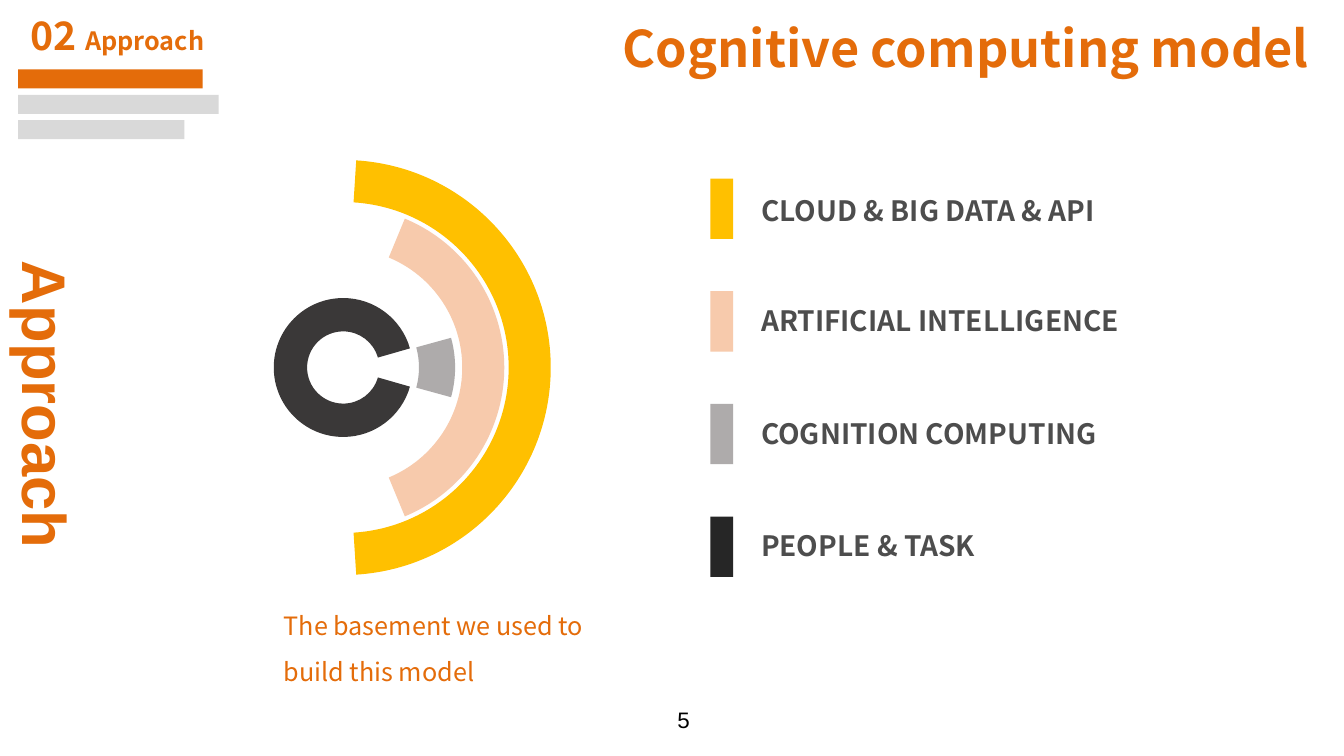
from math import ceil, cos, floor, radians, sin, tan

from lxml.etree import SubElement
from pptx import Presentation
from pptx.dml.color import RGBColor
from pptx.enum.shapes import MSO_SHAPE
from pptx.enum.text import MSO_ANCHOR, MSO_AUTO_SIZE, PP_ALIGN
from pptx.oxml.ns import qn
from pptx.util import Cm, Pt

RECTANGLE = MSO_SHAPE.RECTANGLE
BOTTOM, TOP = MSO_ANCHOR.BOTTOM, MSO_ANCHOR.TOP
GROW, FIXED = MSO_AUTO_SIZE.SHAPE_TO_FIT_TEXT, MSO_AUTO_SIZE.NONE
LEFT, RIGHT = PP_ALIGN.LEFT, PP_ALIGN.RIGHT

COLORS = {
    "orange": "E46C0A", "pale": "D9D9D9", "yellow": "FFC000",
    "peach": "F7CAAC", "gray": "AEABAB", "charcoal": "3A3838",
    "black": "262626", "label": "4D4D4D", "number": "000000",
}
SANS, ARIAL = "Noto Sans CJK SC", "Arial"

HEADER_BARS = [("orange", 4.65), ("pale", 5.05), ("pale", 4.19)]
HEADER_LEFT, HEADER_TOP, HEADER_PITCH, HEADER_HEIGHT = 0.46, 1.75, 0.64, 0.48

RING_CENTER = (8.65, 9.26)
RING_TURN = 270
RINGS = [
    ("yellow", 5.23, 4.17, 3.6, 176.4),
    ("peach", 4.06, 3.0, 22.5, 157.5),
    ("gray", 2.82, 1.91, 74.6, 105.4),
    ("charcoal", 1.75, 0.91, 106, 434),
]

LEGEND = [
    ("CLOUD & BIG DATA & API", "yellow", 4.75, 10.46),
    ("ARTIFICIAL INTELLIGENCE", "peach", 7.52, 10.46),
    ("COGNITION COMPUTING", "gray", 10.36, 13.28),
    ("PEOPLE & TASK", "black", 13.2, 6.38),
]
LEGEND_LEFT, LEGEND_TOP, LEGEND_PITCH = 17.9, 4.5, 2.84
SWATCH_WIDTH, SWATCH_HEIGHT = 0.58, 1.52
LABEL_LEFT, LABEL_HEIGHT = 18.93, 1.12
LABEL_STYLE = (20, SANS, "label", True)

SECTION = (
    (0.51, 0.3, 10.08, 1.32),
    [("02 ", 28, SANS, "orange", True), ("Approach", 18, SANS, "orange", True)],
    {}, {"line_spacing": 0.9}, 0)
SIDE_TITLE = (
    (-2.74, 9.17, 7.82, 2.13), [("Approach", 44, ARIAL, "orange", True)],
    {"word_wrap": False}, {}, 90)
TITLE = (
    (12.79, 0.27, 20.73, 1.8),
    [("Cognitive computing model ", 36, SANS, "orange", True)],
    {"vertical_anchor": BOTTOM}, {"alignment": RIGHT}, 0)
CAPTION = (
    (6.9, 15.01, 8.76, 4.45),
    [("The basement we used to build this model", 18, SANS, "orange", False)],
    {"auto_size": FIXED, "margin_top": 0, "margin_bottom": 0},
    {"line_spacing": 1.5}, 0)
PAGE_NUMBER = (
    (16.89, 17.68, 0.43, 0.94), [("5", 16, ARIAL, "number", False)],
    {"margin_left": Cm(0.18), "margin_right": 0}, {}, 0)


def set_all(target, values):
    for name, value in values.items():
        setattr(target, name, value)


def paint(shape, color):
    shape.shadow.inherit = False
    shape.fill.solid()
    shape.fill.fore_color.rgb = RGBColor.from_string(COLORS[color])
    shape.line.fill.background()


def add_bar(shapes, box, color):
    paint(shapes.add_shape(RECTANGLE, *map(Cm, box)), color)


def arc_curves(center, radius, angles):
    curves = []
    for start, end in zip(angles, angles[1:]):
        reach = 4 / 3 * tan((end - start) / 4)
        curves.append([
            (center + radius * (cos(angle) - pull * sin(angle)),
             center + radius * (sin(angle) + pull * cos(angle)))
            for angle, pull in ((start, 0), (start, reach), (end, -reach), (end, 0))
        ])
    return curves


def add_ring(shapes, color, outer, inner, start, end):
    side = Cm(2 * outer)
    builder = shapes.build_freeform(0, 0)
    builder.add_line_segments([(side, 0), (side, side), (0, side)], close=True)
    ring = builder.convert_to_shape(*(Cm(middle - outer) for middle in RING_CENTER))
    ring.rotation = RING_TURN

    quarters = range(ceil(start / 90), floor(end / 90) + 1)
    angles = [radians(a) for a in (start, *(90 * q for q in quarters), end)]
    inside = arc_curves(side / 2, Cm(inner), angles)
    outside = arc_curves(side / 2, Cm(outer), angles[::-1])
    commands = [("a:moveTo", inside[0][:1])]
    commands += [("a:cubicBezTo", curve[1:]) for curve in inside]
    commands.append(("a:lnTo", outside[0][:1]))
    commands += [("a:cubicBezTo", curve[1:]) for curve in outside]
    commands.append(("a:close", []))

    outline = ring.element.find(".//" + qn("a:path"))
    for segment in list(outline):
        outline.remove(segment)
    for tag, points in commands:
        command = SubElement(outline, qn(tag))
        for x, y in points:
            SubElement(command, qn("a:pt"), x=str(round(x)), y=str(round(y)))
    paint(ring, color)


def add_text(shapes, box, runs, frame_format, paragraph_format, rotation):
    textbox = shapes.add_textbox(*map(Cm, box))
    textbox.rotation = rotation
    frame = textbox.text_frame
    set_all(frame, {"word_wrap": True, "auto_size": GROW,
                    "vertical_anchor": TOP, **frame_format})
    paragraph = frame.paragraphs[0]
    set_all(paragraph, {"alignment": LEFT, **paragraph_format})
    for words, size, font, color, bold in runs:
        run = paragraph.add_run()
        run.text = words
        set_all(run.font, {"size": Pt(size), "name": font, "bold": bold})
        run.font.color.rgb = RGBColor.from_string(COLORS[color])


def main():
    deck = Presentation()
    set_all(deck, {"slide_width": Cm(33.87), "slide_height": Cm(19.05)})
    shapes = deck.slides.add_slide(deck.slide_layouts[6]).shapes

    add_text(shapes, *SECTION)
    for i, (color, width) in enumerate(HEADER_BARS):
        top = HEADER_TOP + i * HEADER_PITCH
        add_bar(shapes, (HEADER_LEFT, top, width, HEADER_HEIGHT), color)
    for text in (SIDE_TITLE, TITLE, CAPTION):
        add_text(shapes, *text)

    model = shapes.add_group_shape().shapes
    for ring in RINGS:
        add_ring(model, *ring)

    legend = shapes.add_group_shape().shapes
    for i, (_, color, _, _) in enumerate(LEGEND):
        top = LEGEND_TOP + i * LEGEND_PITCH
        add_bar(legend, (LEGEND_LEFT, top, SWATCH_WIDTH, SWATCH_HEIGHT), color)
    for label, _, top, width in LEGEND:
        label_box = (LABEL_LEFT, top, width, LABEL_HEIGHT)
        add_text(legend, label_box, [(label, *LABEL_STYLE)], {}, {}, 0)

    add_text(shapes, *PAGE_NUMBER)
    deck.save("out.pptx")


if __name__ == "__main__":
    main()
